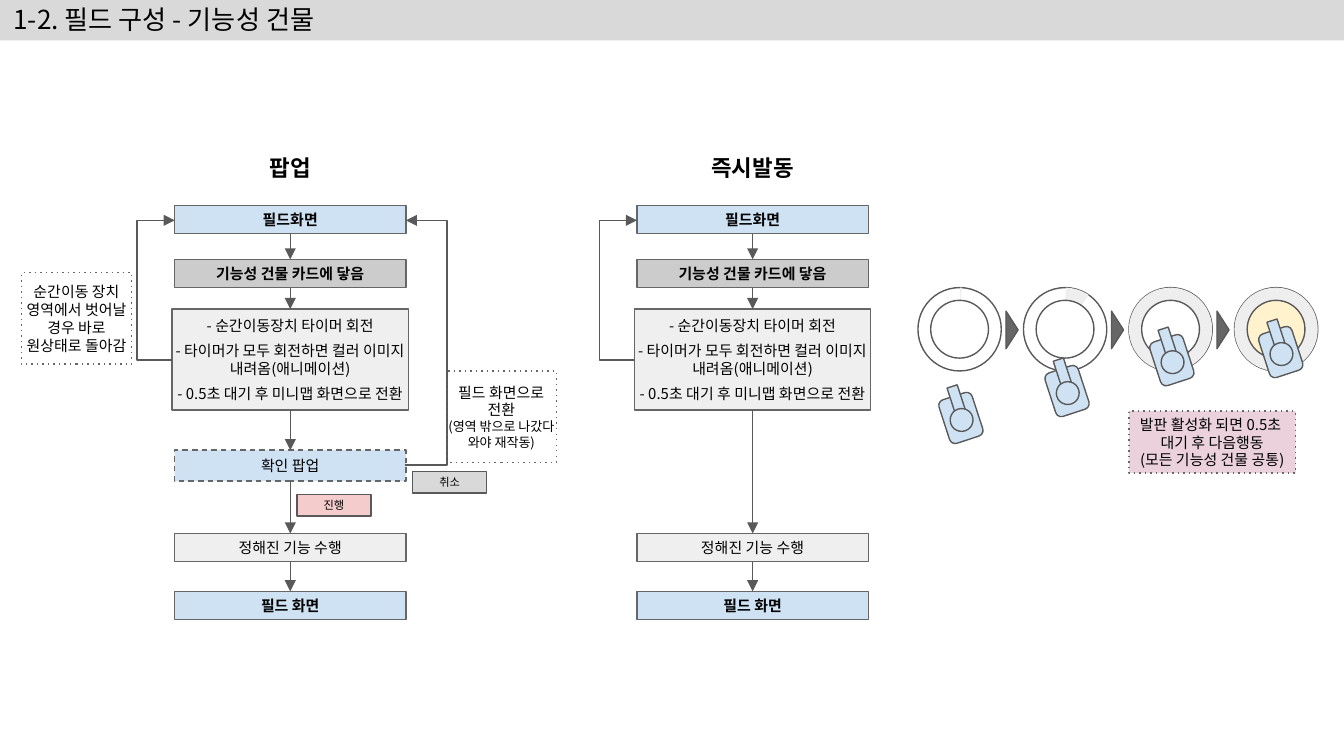
from lxml import etree
from pptx import Presentation
from pptx.dml.color import RGBColor
from pptx.enum import dml, shapes, text
from pptx.oxml import ns
from pptx.util import Inches, Pt

FONT = "Noto Sans CJK KR"
HUE = dict(ink="000000", edge="666666", line="595959", bar="D9D9D9", gray="CCCCCC",
           pale="EFEFEF", blue="CFE2F3", pink="F4CCCC", rose="EAD1DC",
           wedge="EEEEEE", gold="FFF2CC", white="FFFFFF")
KIND = shapes.MSO_SHAPE

# Content
TITLE = "1-2. 필드 구성 - 기능성 건물"
HEADS = [("팝업", 2.16), ("즉시발동", 5.6)]  # name, centre x
STEPS = [  # text, top, height, width, fill, bold
    (["필드화면"], 1.53, 0.21, 1.72, "blue", True),
    (["기능성 건물 카드에 닿음"], 1.93, 0.21, 1.72, "gray", True),
    (["- 순간이동장치 타이머 회전",
      "- 타이머가 모두 회전하면 컬러 이미지 내려옴(애니메이션)",
      "- 0.5초 대기 후 미니맵 화면으로 전환"], 2.3, 0.75, 1.76, "pale", False),
    (["정해진 기능 수행"], 3.97, 0.21, 1.72, "pale", False),
    (["필드 화면"], 4.4, 0.21, 1.72, "blue", True),
]
CHECK = (["확인 팝업"], 3.35, 0.23, 1.72, "blue", False)  # first flow only
NOTES = [  # lines, sizes, box, fill
    (["순간이동 장치 영역에서 벗어날 경우 바로 원상태로 돌아감"], [8],
     (0.16, 2.03, 0.82, 0.68), None),
    (["필드 화면으로 전환", "(영역 밖으로 나갔다 와야 재작동)"], [8, 7],
     (3.32, 2.76, 0.82, 0.68), None),
    (["발판 활성화 되면 0.5초 ", "대기 후 다음행동", "(모든 기능성 건물 공통)"], [8, 8, 8],
     (8.4, 3.06, 1.24, 0.46), "rose"),
]
TAGS = [("진행", 2.21, 3.68, "pink"), ("취소", 3.07, 3.51, "bar")]
PADS = [  # wedge end, core fill, hand position
    (163.796, "white", (7.02, 2.94)),
    (182.696, "white", (7.81, 2.74)),
    (162, "white", (8.59, 2.51)),
    (162, "gold", (9.4, 2.45)),
]
HAND = [  # shape, dx, dy, width, height
    (KIND.ROUNDED_RECTANGLE, 0, 0, 0.26, 0.34),
    (KIND.RECTANGLE, 0.06, -0.07, 0.08, 0.23),
    (KIND.OVAL, 0.05, 0.1, 0.17, 0.17),
]

deck = Presentation()
deck.slide_width = Inches(10)
deck.slide_height = deck.slide_width * 9 // 16
slide = deck.slides.add_slide(deck.slide_layouts[5])


def rgb(name):
    return RGBColor.from_string(HUE[name])


def write(shape, lines, sizes, bold=False, align=text.PP_ALIGN.CENTER, side=0, gap=0):
    frame = shape.text_frame
    frame.word_wrap = True
    frame.auto_size = text.MSO_AUTO_SIZE.NONE
    frame.vertical_anchor = text.MSO_ANCHOR.MIDDLE
    frame.margin_left = frame.margin_right = Inches(side)
    frame.margin_top = frame.margin_bottom = 0
    for i, (line, size) in enumerate(zip(lines, sizes)):
        para = frame.paragraphs[0] if i == 0 else frame.add_paragraph()
        para.text = line
        para.alignment = align
        para.space_before = Pt(gap if i else 0)
        font = para.font
        font.size, font.bold, font.name = Pt(size), bold, FONT
        font.color.rgb = rgb("ink")
        look = para._p.pPr.find(ns.qn("a:defRPr"))
        look.set("kern", "0")
        etree.SubElement(look, ns.qn("a:ea")).set("typeface", FONT)


def draw(kind, box, fill=None, line="line", dash=None, home=slide):
    shape = home.shapes.add_shape(kind, *map(Inches, box))
    shape.shadow.inherit = False
    if fill:
        shape.fill.solid()
        shape.fill.fore_color.rgb = rgb(fill)
    else:
        shape.fill.background()
    if line:
        shape.line.color.rgb = rgb(line)
        shape.line.width = Pt(0.75)
        if dash:
            shape.line.dash_style = dml.MSO_LINE.DASH
            shape._element.spPr.find(".//" + ns.qn("a:prstDash")).set("val", dash)
    else:
        shape.line.fill.background()
    return shape


def link(start, end, bend=None):
    kind = shapes.MSO_CONNECTOR.ELBOW if bend else shapes.MSO_CONNECTOR.STRAIGHT
    wire = slide.shapes.add_connector(kind, *map(Inches, start + end))
    wire.line.color.rgb = rgb("line")
    wire.line.width = Pt(0.75)
    prop = wire._element.spPr
    etree.SubElement(prop.find(ns.qn("a:ln")), ns.qn("a:tailEnd")).set("type", "triangle")
    etree.SubElement(prop, ns.qn("a:effectLst"))
    if bend:  # bend is a multiple of the connector's width
        guide = etree.SubElement(prop.prstGeom.get_or_add_avLst(), ns.qn("a:gd"))
        guide.set("name", "adj1")
        guide.set("fmla", f"val {bend * 100000}")


# Title bar
title = slide.shapes.title
title.left, title.top, title.width, title.height = map(Inches, (0, -0.01, 10, 0.31))
title.fill.solid()
title.fill.fore_color.rgb = rgb("bar")
write(title, [TITLE], [14], align=text.PP_ALIGN.LEFT, side=0.1)

# Flow charts
for col, (head, mid) in enumerate(HEADS):
    label = slide.shapes.add_textbox(*map(Inches, (mid - 0.8, 1.07, 1.6, 0.35)))
    write(label, [head], [12], bold=True)
    steps = STEPS[:3] + [CHECK] + STEPS[3:] if col == 0 else STEPS
    for step in steps:
        lines, top, high, wide, fill, bold = step
        dash = "dash" if step is CHECK else None
        box = draw(KIND.RECTANGLE, (mid - wide / 2, top, wide, high), fill, "edge", dash)
        write(box, lines, [8] * len(lines), bold, gap=4)
    for above, below in zip(steps, steps[1:]):
        link((mid, above[1] + above[2]), (mid, below[1]))
    link((mid - 0.88, 2.68), (mid - 0.86, 1.64), bend=-13)
link((3.01, 3.46), (3.02, 1.64), bend=32)

# Notes and button tags
for lines, sizes, box, fill in NOTES:
    write(draw(KIND.RECTANGLE, box, fill, "edge", "dot"), lines, sizes)
for name, left, top, fill in TAGS:
    write(draw(KIND.RECTANGLE, (left, top, 0.55, 0.16), fill), [name], [6])

# Timer pads, each with a hand
for i, (end, core, (x, y)) in enumerate(PADS):
    left = 6.83 + 0.785 * i
    ring = (left, 2.14, 0.62, 0.62)
    draw(KIND.OVAL, ring)
    pie = draw(KIND.PIE, ring, "wedge", None)
    pie.adjustments[0], pie.adjustments[1] = 162.404, end
    draw(KIND.OVAL, (left + 0.095, 2.235, 0.43, 0.43), core)
    if i < len(PADS) - 1:
        draw(KIND.ISOSCELES_TRIANGLE, (left + 0.56, 2.41, 0.28, 0.09), "edge").rotation = 90
    hand = slide.shapes.add_group_shape()
    for kind, dx, dy, wide, high in HAND:
        draw(kind, (x + dx, y + dy, wide, high), "blue", home=hand).rotation = 342

deck.save("out.pptx")
